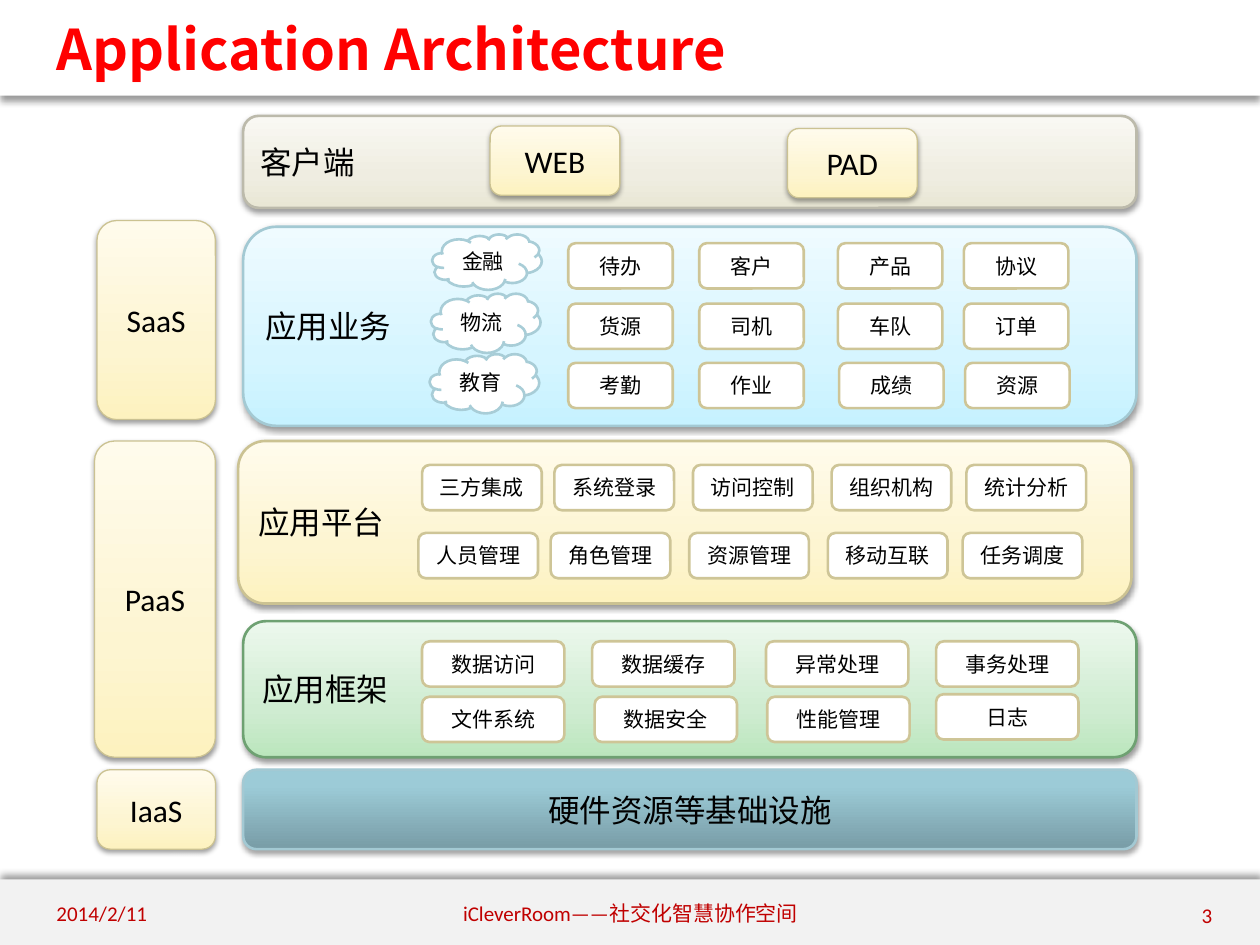
from dataclasses import dataclass

from lxml import etree
from pptx import Presentation
from pptx import util as u
from pptx.dml.color import RGBColor
from pptx.enum import shapes, text
from pptx.oxml import ns

PX = 9144
COLORS = {
    "bar_bottom": "F2F2F2", "white": "FFFFFF", "black": "000000",
    "title": "FF0000", "footer": "C00000", "cell_line": "CEC597",
    "cloud_line": "A8CDD7", "blue_line": "A3C9D3", "gray_line": "BCBAAB",
    "cream_line": "CBC292", "green_line": "6EA172",
}
GRADIENTS = {
    "steel": ((0, "789CA6"), (80, "9CCBD7"), (100, "9CCCD9")),
    "blue": ((0, "C6F2FF"), (35, "D6F5FF"), (100, "EFFBFF")),
    "gray": ((0, "E9E7D5"), (35, "EFEDE1"), (100, "F9F8F3")),
    "cream": ((0, "FDF2BF"), (35, "FDF5D1"), (100, "FFFBEC")),
    "green": ((0, "BBE6BD"), (35, "CFECD1"), (100, "ECF8ED")),
}
KIND = shapes.MSO_SHAPE
ALIGN = text.PP_ALIGN


@dataclass(frozen=True)
class Shadow:
    alpha: int
    blur: float
    dist: float
    angle: int


SOFT = Shadow(38, 3.1, 1.6, 90)


@dataclass(frozen=True)
class Box:
    label: str
    x: int
    y: int
    w: int
    h: int
    fill: str = "cream"
    line: str = "cream_line"
    weight: float = 0.75
    size: int = 18
    align: ALIGN = ALIGN.CENTER
    kind: KIND = KIND.ROUNDED_RECTANGLE
    shadow: Shadow | None = SOFT


@dataclass(frozen=True)
class Grid:
    y: int
    xs: tuple[int, ...]
    w: int
    labels: str


LEFT = ALIGN.LEFT
LAYERS = [
    Box("硬件资源等基础设施", 193, 611, 709, 63, "steel", "blue_line", 1.5,
        shadow=Shadow(35, 3.1, 1.8, 90)),
    Box("应用业务", 193, 180, 709, 158, "blue", "blue_line", 1.5, align=LEFT),
    Box("客户端", 193, 92, 709, 73, "gray", "gray_line", 1.5, align=LEFT),
    Box("应用平台", 189, 350, 709, 129, "cream", "cream_line", 1.5, align=LEFT),
    Box("应用框架", 193, 493, 709, 108, "green", "green_line", 1.5, align=LEFT),
]
TILES = [
    Box("WEB", 389, 100, 103, 55), Box("PAD", 625, 102, 103, 55),
    Box("SaaS", 77, 175, 94, 158), Box("PaaS", 75, 350, 96, 251),
    Box("IaaS", 77, 611, 94, 63),
]
CLOUDS = [("金融", 343, 186, 44), ("物流", 342, 233, 47), ("教育", 341, 281, 47)]
BUSINESS = (451, 555, 665, 765)
GRIDS = [
    Grid(193, BUSINESS, 83, "待办 客户 产品 协议"),
    Grid(241, BUSINESS, 83, "货源 司机 车队 订单"),
    Grid(288, (451, 555, 666, 766), 83, "考勤 作业 成绩 资源"),
    Grid(369, (335, 440, 550, 660, 767), 95, "三方集成 系统登录 访问控制 组织机构 统计分析"),
    Grid(423, (332, 437, 547, 657, 764), 95, "人员管理 角色管理 资源管理 移动互联 任务调度"),
    Grid(509, (335, 470, 608, 743), 113, "数据访问 数据缓存 异常处理 事务处理"),
    Grid(553, (335, 472, 609), 113, "文件系统 数据安全 性能管理"),
    Grid(551, (743,), 113, "日志"),
]
FOOTERS = [
    ("2014/2/11", 35, 705, 233, LEFT),
    ("iCleverRoom——社交化智慧协作空间", 342, 705, 317, ALIGN.CENTER),
    ("3", 739, 706, 233, ALIGN.RIGHT),
]


def rgb(name: str) -> RGBColor:
    return RGBColor.from_string(COLORS[name])


def place(*lengths: int) -> list[u.Emu]:
    return [u.Emu(n * PX) for n in lengths]


def add_color(parent, value: str):
    return etree.SubElement(parent, ns.qn("a:srgbClr"), val=value)


def write(tf, label: str, size: int, color: str, align: ALIGN,
          font: str = "Calibri", bold: bool = False) -> None:
    tf.word_wrap = True
    tf.vertical_anchor = text.MSO_ANCHOR.MIDDLE
    p = tf.paragraphs[0]
    p.alignment = align
    r = p.add_run()
    r.text = label
    for key, value in {"name": font, "size": u.Pt(size), "bold": bold}.items():
        setattr(r.font, key, value)
    r.font.color.rgb = rgb(color)


def set_fill(sp, name: str) -> None:
    if name not in GRADIENTS:
        sp.fill.solid()
        sp.fill.fore_color.rgb = rgb(name)
        return
    sp.fill.gradient()
    sp.fill.gradient_angle = 90
    stops = sp._element.spPr.find(".//" + ns.qn("a:gsLst"))
    for stop in list(stops):
        stops.remove(stop)
    for pos, value in GRADIENTS[name]:
        add_color(etree.SubElement(stops, ns.qn("a:gs"), pos=str(pos * 1000)), value)


def set_shadow(sp, shadow: Shadow | None) -> None:
    sp.shadow.inherit = False
    if shadow is None:
        return
    effects = sp._element.spPr.find(ns.qn("a:effectLst"))
    outer = etree.SubElement(
        effects, ns.qn("a:outerShdw"), blurRad=str(int(u.Pt(shadow.blur))),
        dist=str(int(u.Pt(shadow.dist))), dir=str(shadow.angle * 60000),
        rotWithShape="0")
    color = add_color(outer, COLORS["black"])
    etree.SubElement(color, ns.qn("a:alpha"), val=str(shadow.alpha * 1000))


def draw_box(s, box: Box) -> None:
    sp = s.shapes.add_shape(box.kind, *place(box.x, box.y, box.w, box.h))
    set_fill(sp, box.fill)
    if box.line:
        sp.line.color.rgb = rgb(box.line)
        sp.line.width = u.Pt(box.weight)
    else:
        sp.line.fill.background()
    set_shadow(sp, box.shadow)
    if box.label:
        write(sp.text_frame, box.label, box.size, "black", box.align)


def draw_bar(s, y: int, w: int, h: int, fill: str, angle: int) -> None:
    draw_box(s, Box("", 0, y, w, h, fill, "", kind=KIND.RECTANGLE,
                    shadow=Shadow(40, 4, 3, angle)))


def draw_title(s) -> None:
    sp = s.shapes.title
    sp._element.getparent().append(sp._element)
    sp.left, sp.top, sp.width, sp.height = place(35, 8, 937, 60)
    write(sp.text_frame, "Application Architecture", 32, "title", LEFT,
          "Noto Sans CJK SC", True)


def draw_grid(s, grid: Grid) -> None:
    for x, label in zip(grid.xs, grid.labels.split()):
        draw_box(s, Box(label, x, grid.y, grid.w, 36, "white", "cell_line",
                        1.5, 12, shadow=None))


def main() -> None:
    prs = Presentation()
    prs.slide_width, prs.slide_height = place(1000, 750)
    s = prs.slides.add_slide(prs.slide_layouts[5])
    draw_bar(s, 698, 1001, 56, "bar_bottom", 270)
    draw_bar(s, 0, 1000, 76, "white", 90)
    draw_title(s)
    for box in LAYERS + TILES:
        draw_box(s, box)
    for label, x, y, h in CLOUDS:
        draw_box(s, Box(label, x, y, 87, h, "white", "cloud_line", 1.5, 12,
                        kind=KIND.CLOUD, shadow=None))
    for grid in GRIDS:
        draw_grid(s, grid)
    for label, x, y, w, align in FOOTERS:
        sp = s.shapes.add_textbox(*place(x, y, w, 40))
        write(sp.text_frame, label, 12, "footer", align)
    prs.save("out.pptx")


if __name__ == "__main__":
    main()
